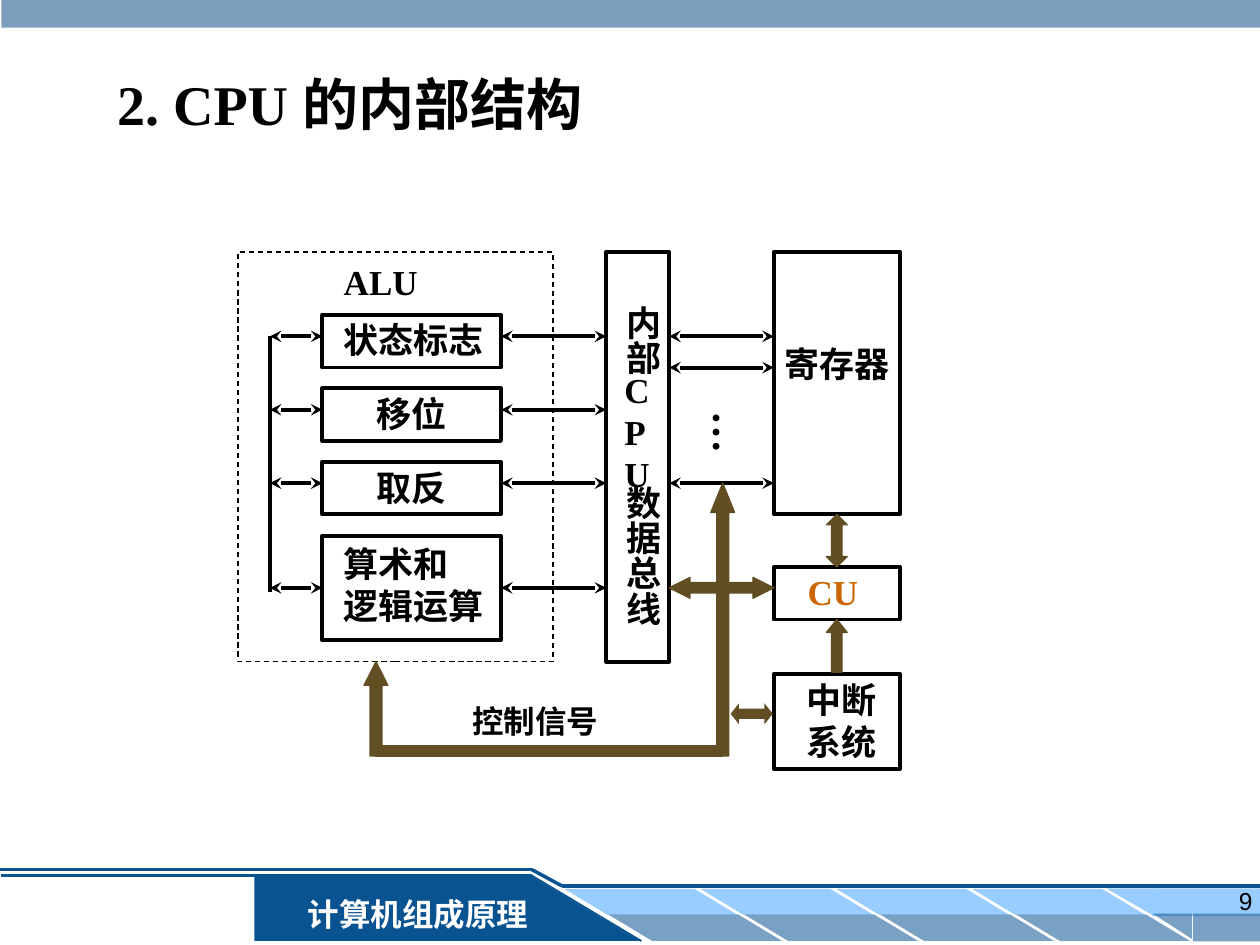
from lxml import etree
from pptx import Presentation, util as u
from pptx.dml import color as dc
from pptx.enum import dml, shapes, text
from pptx.oxml import ns

Cm, Pt = u.Cm, u.Pt
Kind = shapes.MSO_SHAPE
hues = {"navy": "095391", "sky": "99CCFF", "steel": "336699", "brown": "614F23",
        "rust": "CC6600", "black": "000000", "white": "FFFFFF"}
tint = {name: dc.RGBColor.from_string(code) for name, code in hues.items()}

deck = Presentation()
deck.slide_width, deck.slide_height = Cm(25.4), Cm(19.05)
slide = deck.slides.add_slide(deck.slide_layouts[5])


def put(kind, spot, fill=None, edge=None, wide=0.75, adj=(), flip="", alpha=None):
    item = slide.shapes.add_shape(kind, *map(Cm, spot))
    item.shadow.inherit = False
    for at, value in enumerate(adj):
        item.adjustments[at] = value
    for axis in flip:
        item._element.spPr.xfrm.set("flip" + axis, "1")
    if fill:
        item.fill.solid()
        item.fill.fore_color.rgb = tint[fill]
    else:
        item.fill.background()
    if alpha:
        tone = item._element.spPr.find(".//" + ns.qn("a:srgbClr"))
        etree.SubElement(tone, ns.qn("a:alpha"), val=str(alpha * 1000))
    if edge:
        item.line.color.rgb = tint[edge]
        item.line.width = Pt(wide)
    else:
        item.line.fill.background()
    return item


def say(words, spot, size=20, hue="black", face="Times New Roman", bold=True,
        align="LEFT", vert=False, box=None):
    box = box or slide.shapes.add_textbox(0, 0, 0, 0)
    box.left, box.top, box.width, box.height = map(Cm, spot)
    frame = box.text_frame
    frame.text = words
    side, cap = (0.13, 0.25) if vert else (0.25, 0.13)
    form = {"word_wrap": False, "auto_size": text.MSO_AUTO_SIZE.NONE,
            "vertical_anchor": text.MSO_ANCHOR.TOP,
            "margin_left": Cm(side), "margin_right": Cm(side),
            "margin_top": Cm(cap), "margin_bottom": Cm(cap)}
    for key, value in form.items():
        setattr(frame, key, value)
    if vert:
        frame._txBody.bodyPr.set("vert", "eaVert")
    for para in frame.paragraphs:
        para.alignment = getattr(text.PP_ALIGN, align)
        font = para.runs[0].font
        for key, value in {"size": Pt(size), "name": face, "bold": bold}.items():
            setattr(font, key, value)
        font.color.rgb = tint[hue]
    return box


put(Kind.RECTANGLE, (5.13, 17.65, 5.59, 1.32), "navy")
for step in range(4):
    left = 11.38 + 2.74 * step
    put(Kind.PARALLELOGRAM, (left, 17.92, 3.5, 0.53), "sky", adj=[1.66], flip="H")
    put(Kind.PARALLELOGRAM, (left + 0.89, 18.44, 3.5, 0.53), "navy",
        adj=[1.66], flip="H", alpha=54)
for kind, spot, hue, flip, alpha in [
    (Kind.RECTANGLE, (23.22, 17.91, 2.18, 0.56), "sky", "", None),
    (Kind.RIGHT_TRIANGLE, (22.3, 17.91, 0.97, 0.56), "sky", "HV", None),
    (Kind.RECTANGLE, (24.05, 18.42, 1.37, 0.56), "navy", "", 54),
    (Kind.RIGHT_TRIANGLE, (23.24, 18.42, 0.79, 0.51), "navy", "HV", 54),
    (Kind.RIGHT_TRIANGLE, (10.69, 17.65, 2.21, 1.32), "navy", "", None),
    (Kind.RECTANGLE, (0.03, -0.08, 25.4, 0.64), "steel", "", 63),
]:
    put(kind, spot, hue, flip=flip, alpha=alpha)

band = say("计算机组成原理", (5.82, 17.91, 5.21, 1.02), 18, "white", align="CENTER")
band.fill.solid()
band.fill.fore_color.rgb = tint["navy"]
say("9", (19.58, 17.73, 5.92, 1.32), 14, face="Arial", bold=False, align="RIGHT")
say("2. CPU 的内部结构", (2.11, 1.27, 12.9, 1.63), 32, box=slide.shapes.title)

alu = put(Kind.RECTANGLE, (4.8, 5.08, 6.35, 8.26), edge="black")
alu.line.dash_style = dml.MSO_LINE.DASH
for spot in [
    (6.5, 6.35, 3.6, 1.06), (6.5, 7.83, 3.6, 1.06), (6.5, 9.31, 3.6, 1.06),
    (6.5, 10.8, 3.6, 2.11), (12.22, 5.08, 1.27, 8.26), (15.6, 5.08, 2.54, 5.29),
    (15.6, 11.43, 2.54, 1.06), (15.6, 13.58, 2.54, 1.92),
]:
    put(Kind.RECTANGLE, spot, edge="black", wide=2.25)

for words, spot in [
    ("ALU", (6.68, 5.13, 2.01, 1.12)),
    ("状态标志", (6.68, 6.3, 3.33, 1.12)),
    ("移位", (7.34, 7.79, 1.9, 1.12)),
    ("取反", (7.34, 9.27, 1.9, 1.12)),
    ("算术和\n逻辑运算", (6.68, 10.8, 3.33, 1.96)),
    ("C\nP\nU", (12.34, 7.29, 1.02, 2.79)),
    ("寄存器", (15.57, 6.78, 2.62, 1.12)),
    ("中断\n系统", (16, 13.54, 1.9, 1.96)),
]:
    say(words, spot)
say("CU", (16.03, 11.38, 1.52, 1.12), hue="rust")
say("控制信号", (9.27, 14.02, 3.05, 1.02), 18)
say("内部", (12.17, 5.92, 1.35, 2), vert=True)
say("数据总线", (12.17, 9.55, 1.35, 3.4), vert=True)
say("…", (13.84, 8.05, 1.52, 1.9), 24, vert=True)

rows = [6.78, 8.26, 9.74, 11.85]
wires = [(a, y, b, y, "black", 2.25, True)
         for a, b, span in [(5.44, 6.5, rows), (10.1, 12.22, rows),
                            (13.49, 15.6, [6.78, 7.41, 9.74])]
         for y in span]
wires += [
    (5.44, 6.78, 5.44, 11.94, "black", 2.25, False),
    (12.93, 18.97, 10.72, 17.65, "navy", 1, False),
    (10.72, 17.65, 0.03, 17.65, "navy", 1.5, False),
    (-0.03, 17.53, 10.72, 17.53, "navy", 2, False),
    (10.72, 17.53, 11.33, 17.86, "navy", 2, False),
    (11.33, 17.86, 25.43, 17.86, "navy", 2, False),
]
for *ends, hue, wide, tips in wires:
    wire = slide.shapes.add_connector(shapes.MSO_CONNECTOR.STRAIGHT, *map(Cm, ends))
    wire.line.color.rgb = tint[hue]
    wire.line.width = Pt(wide)
    if tips:
        for tip in ("a:headEnd", "a:tailEnd"):
            etree.SubElement(wire.line._ln, ns.qn(tip), type="stealth")
    etree.SubElement(wire._element.spPr, ns.qn("a:effectLst"))

for kind, spot, adj, edge in [
    (Kind.LEFT_RIGHT_ARROW, (13.49, 11.64, 2.11, 0.42), [0.5, 1], "brown"),
    (Kind.UP_ARROW, (16.66, 12.49, 0.42, 1.06), [0.5, 0.62], "brown"),
    (Kind.UP_ARROW, (14.33, 9.74, 0.48, 5.5), [0.5, 1.23], "brown"),
    (Kind.UP_ARROW, (7.34, 13.34, 0.48, 1.9), [0.5, 0.99], "brown"),
    (Kind.RECTANGLE, (7.57, 15.03, 6.99, 0.21), [], "brown"),
    (Kind.LEFT_RIGHT_ARROW, (14.73, 14.18, 0.85, 0.42), [0.5, 0.4], None),
    (Kind.UP_DOWN_ARROW, (16.66, 10.37, 0.42, 1.06), [0.5, 0.5], "brown"),
]:
    put(kind, spot, "brown", edge, adj=adj)

deck.save("out.pptx")
